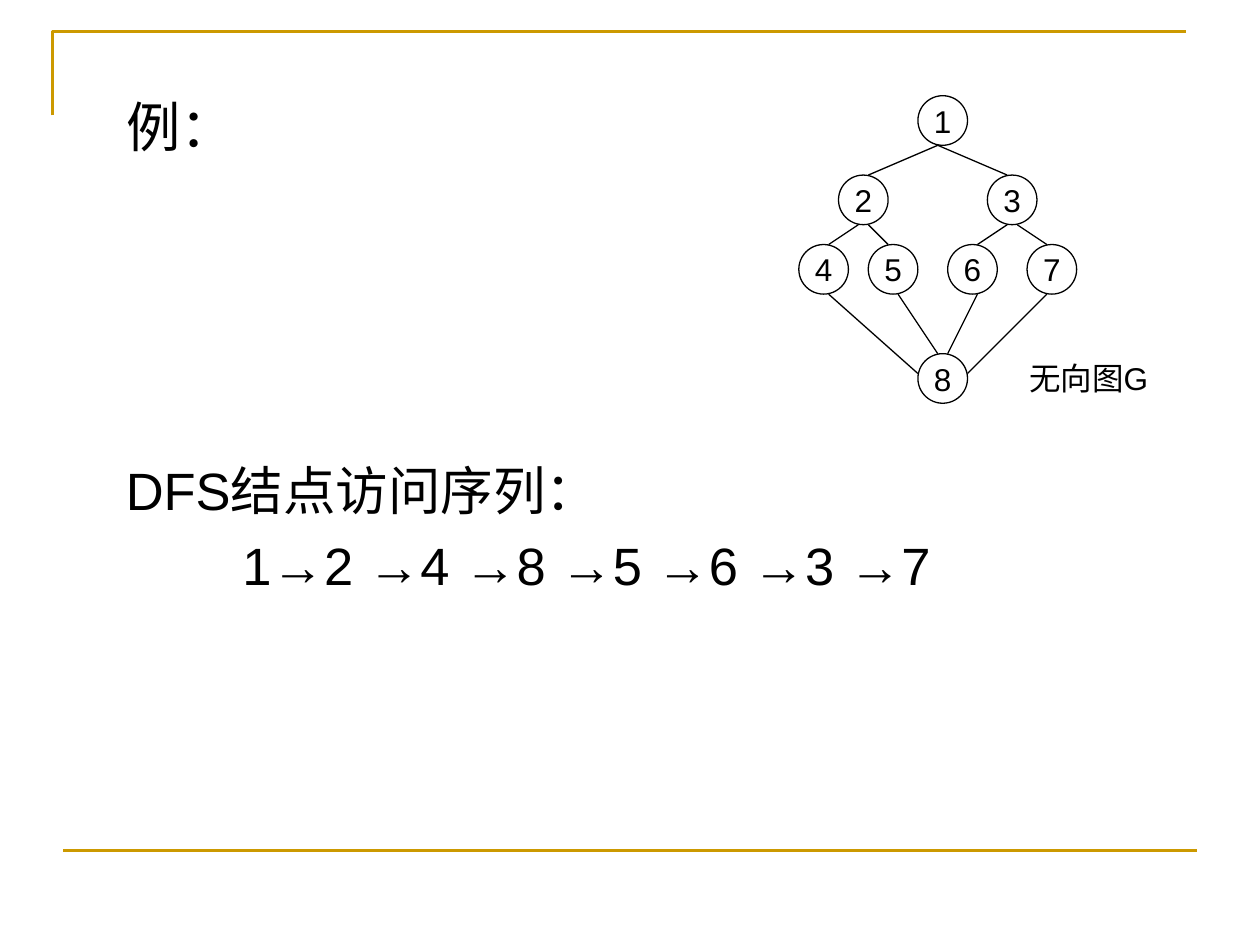
"""Build a slide showing the depth-first visiting order of an undirected graph."""
import pptx
import pptx.util
import pptx.dml.color
import pptx.enum.shapes
import pptx.enum.text
import pptx.oxml

Pt = pptx.util.Pt
ALIGN = pptx.enum.text.PP_ALIGN
ANCHOR = pptx.enum.text.MSO_ANCHOR
COLORS = {"gold": "CC9900", "ink": "000000"}
GRID_LEFT, GRID_TOP, UNIT, DIAMETER = 456.5, 54.7, 5.67, 5
NODES = {
    "1": (12, 0), "2": (4, 8), "3": (19, 8), "4": (0, 15),
    "5": (7, 15), "6": (15, 15), "7": (23, 15), "8": (12, 26),
}
EDGES = [
    (14, 5, 7, 8), (14, 5, 21, 8),
    (6, 13, 3, 15), (7, 13, 9, 15), (21, 13, 18, 15), (22, 13, 25, 15),
    (3, 20, 12, 28), (10, 20, 14, 26), (18, 20, 15, 26), (25, 20, 17, 28),
]


def rgb(name):
    return pptx.dml.color.RGBColor.from_string(COLORS[name])


def grid(x, y):
    return Pt(GRID_LEFT + x * UNIT), Pt(GRID_TOP + y * UNIT)


def style_line(line, color, width):
    line.color.rgb = rgb(color)
    line.width = Pt(width)


def style_text(p, size, align=ALIGN.LEFT):
    p.alignment = align
    for r in p.runs:
        r.font.name = "Arial"
        r.font.size = Pt(size)
        r.font.color.rgb = rgb("ink")


def add_line(shapes, begin, end, color, width):
    line = shapes.add_connector(
        pptx.enum.shapes.MSO_CONNECTOR.STRAIGHT, *begin, *end)
    style_line(line.line, color, width)
    line._element.spPr.append(pptx.oxml.parse_xml(
        '<a:effectLst xmlns:a="http://schemas.openxmlformats.org/drawingml/2006/main"/>'))


def add_corner(shapes):
    builder = shapes.build_freeform(Pt(30), Pt(66), scale=1.0)
    builder.add_line_segments(
        [(Pt(30), Pt(18)), (Pt(678), Pt(18))], close=False)
    sp = builder.convert_to_shape()
    sp.shadow.inherit = False
    sp.fill.background()
    style_line(sp.line, "gold", 1.5)


def add_title(s, text):
    sp = s.shapes.title
    sp.left, sp.top, sp.width, sp.height = Pt(64.8), Pt(49), Pt(360), Pt(46)
    tf = sp.text_frame
    tf.text = text
    tf.vertical_anchor = ANCHOR.MIDDLE
    style_text(tf.paragraphs[0], 31)


def add_text(shapes, box, lines, size):
    tf = shapes.add_textbox(*map(Pt, box)).text_frame
    tf.word_wrap = True
    tf.text = "\n".join(lines)
    for p in tf.paragraphs:
        style_text(p, size)
    return tf


def add_node(shapes, label, x, y):
    size = Pt(DIAMETER * UNIT)
    sp = shapes.add_shape(
        pptx.enum.shapes.MSO_SHAPE.OVAL, *grid(x, y), size, size)
    sp.shadow.inherit = False
    sp.fill.background()
    style_line(sp.line, "ink", 0.75)
    tf = sp.text_frame
    tf.text = label
    tf.word_wrap = False
    tf.vertical_anchor = ANCHOR.MIDDLE
    style_text(tf.paragraphs[0], 18, ALIGN.CENTER)


def add_graph(s):
    shapes = s.shapes.add_group_shape().shapes
    for label, (x, y) in NODES.items():
        add_node(shapes, label, x, y)
    for x1, y1, x2, y2 in EDGES:
        add_line(shapes, grid(x1, y1), grid(x2, y2), "ink", 0.75)
    add_text(shapes, (581, 201.6, 96.5, 28.8), ["无向图G"], 18)


def add_sequence(s):
    lines = ["DFS结点访问序列：", "1→2 →4 →8 →5 →6 →3 →7"]
    p = add_text(s.shapes, (64.8, 258, 629, 100), lines, 30).paragraphs[1]
    p.space_before = Pt(7)
    p._p.get_or_add_pPr().set("marL", str(Pt(66.7)))


def main():
    prs = pptx.Presentation()
    prs.slide_width, prs.slide_height = Pt(720), Pt(540)
    s = prs.slides.add_slide(prs.slide_layouts[5])
    add_corner(s.shapes)
    add_line(s.shapes, (Pt(36), Pt(486)), (Pt(684), Pt(486)), "gold", 1.5)
    add_title(s, "例：")
    add_sequence(s)
    add_graph(s)
    prs.save("out.pptx")


if __name__ == "__main__":
    main()
